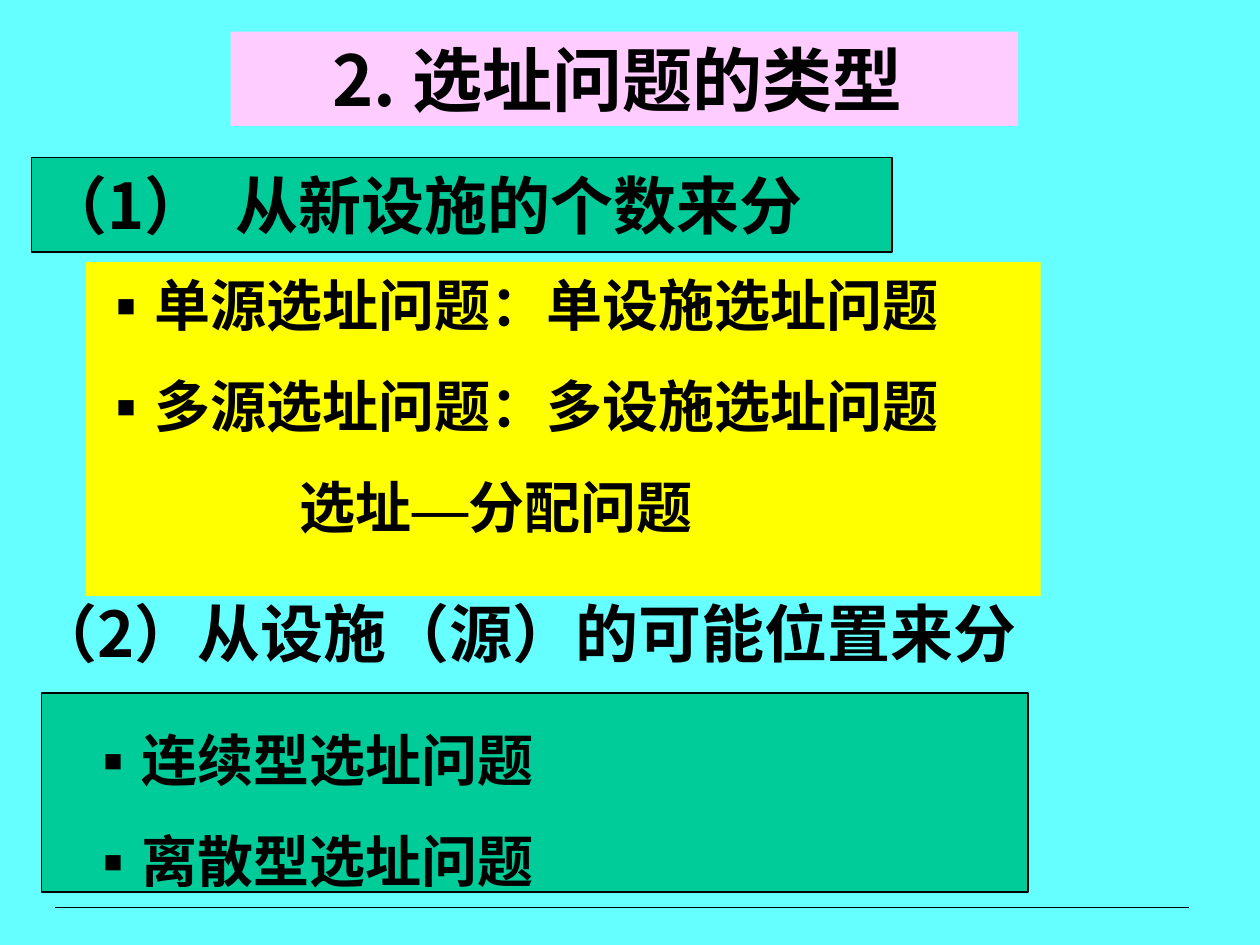
from lxml.etree import SubElement
from pptx import Presentation
from pptx.dml.color import RGBColor
from pptx.enum.shapes import MSO_CONNECTOR
from pptx.enum.text import MSO_ANCHOR as ANCHOR, MSO_AUTO_SIZE, PP_ALIGN as ALIGN
from pptx.oxml.ns import qn
from pptx.util import Inches, Pt

CYAN = RGBColor(0x66, 0xFF, 0xFF)
PINK = RGBColor(0xFF, 0xCC, 0xFF)
GREEN = RGBColor(0x00, 0xCC, 0x99)
YELLOW = RGBColor(0xFF, 0xFF, 0x00)
BLACK = RGBColor(0, 0, 0)
SANS, SERIF = "Noto Sans CJK SC", "Times New Roman"
HANG = 0.33

TITLE = [("2. 选址问题的类型", None)]
BY_COUNT = [("（1）  从新设施的个数来分", None)]
COUNT_TYPES = [
    ("单源选址问题：单设施选址问题", HANG),
    ("多源选址问题：多设施选址问题", HANG),
    ("选址—分配问题", 1.6),
]
BY_PLACE = [("（2）从设施（源）的可能位置来分", None)]
PLACE_TYPES = [("连续型选址问题", 0.25 + HANG), ("离散型选址问题", 0.25 + HANG)]

PANELS = [
    dict(idx=0, lines=TITLE, at=(1.83, 0.25, 6.25, 0.75), size=40, fill=PINK,
         align=ALIGN.CENTER, right=0.21),
    dict(idx=1, lines=BY_COUNT, at=(0.25, 1.25, 6.83, 0.75), size=36, fill=GREEN, edge=BLACK),
    dict(idx=2, lines=COUNT_TYPES, at=(0.68, 2.08, 7.58, 2.65), size=32, fill=YELLOW,
         spacing=1.5, bottom=0.7),
    dict(idx=3, lines=BY_PLACE, at=(0.17, 4.67, 8.58, 0.7), size=36, anchor=ANCHOR.TOP),
    dict(idx=4, lines=PLACE_TYPES, at=(0.33, 5.5, 7.83, 1.58), size=32, fill=GREEN,
         edge=BLACK, spacing=1.5),
]


def apply(target, values):
    for key, value in values.items():
        setattr(target, key, value)


def add_run(paragraph, words, size, face):
    run = paragraph.add_run()
    run.text = words
    apply(run.font, {"size": Pt(size), "bold": True, "name": face})
    run.font.color.rgb = BLACK
    SubElement(run.font._element, qn("a:ea")).set("typeface", face)


def set_indent(paragraph, margin):
    bulleted = margin is not None and margin < 1
    props = paragraph._p.get_or_add_pPr()
    props.set("marL", str(Inches(margin or 0)))
    props.set("indent", str(Inches(-HANG if bulleted else 0)))
    if bulleted:
        colour = SubElement(props, qn("a:buClr"))
        SubElement(colour, qn("a:srgbClr")).set("val", str(BLACK))
        SubElement(props, qn("a:buFont")).set("typeface", SANS)
        SubElement(props, qn("a:buChar")).set("char", "▪")
    else:
        SubElement(props, qn("a:buNone"))


def fill_panel(panel, idx, lines, at, size, fill=None, edge=None, spacing=1.0,
               align=ALIGN.LEFT, anchor=ANCHOR.MIDDLE, right=0.1, bottom=0.05):
    apply(panel, dict(zip(("left", "top", "width", "height"), map(Inches, at))))
    if fill is not None:
        panel.fill.solid()
        panel.fill.fore_color.rgb = fill
    if edge is not None:
        panel.line.color.rgb = edge
        panel.line.width = Pt(0.75)
    else:
        panel.line.fill.background()
    frame = panel.text_frame
    apply(frame, {
        "word_wrap": True, "auto_size": MSO_AUTO_SIZE.NONE, "vertical_anchor": anchor,
        "margin_left": Inches(0.1), "margin_right": Inches(right),
        "margin_top": Inches(0.05), "margin_bottom": Inches(bottom),
    })
    for number, (words, margin) in enumerate(lines):
        paragraph = frame.add_paragraph() if number else frame.paragraphs[0]
        apply(paragraph, {"alignment": align, "line_spacing": spacing,
                          "space_before": Pt(0), "space_after": Pt(0)})
        set_indent(paragraph, margin)
        before, dash, after = words.partition("—")
        for part, face in ((before, SANS), (dash, SERIF), (after, SANS)):
            if part:
                add_run(paragraph, part, size, face)


def main():
    deck = Presentation()
    apply(deck, {"slide_width": Inches(10), "slide_height": Inches(7.5)})
    slide = deck.slides.add_slide(deck.slide_layouts[4])
    slide.background.fill.solid()
    slide.background.fill.fore_color.rgb = CYAN

    holders = {holder.placeholder_format.idx: holder for holder in slide.placeholders}
    for panel in PANELS:
        fill_panel(holders[panel["idx"]], **panel)

    footer_rule = slide.shapes.add_connector(
        MSO_CONNECTOR.STRAIGHT, Inches(0.44), Inches(7.2), Inches(9.44), Inches(7.2))
    footer_rule.line.color.rgb = BLACK
    footer_rule.line.width = Pt(0.75)
    SubElement(footer_rule._element.spPr, qn("a:effectLst"))

    deck.save("out.pptx")


if __name__ == "__main__":
    main()
